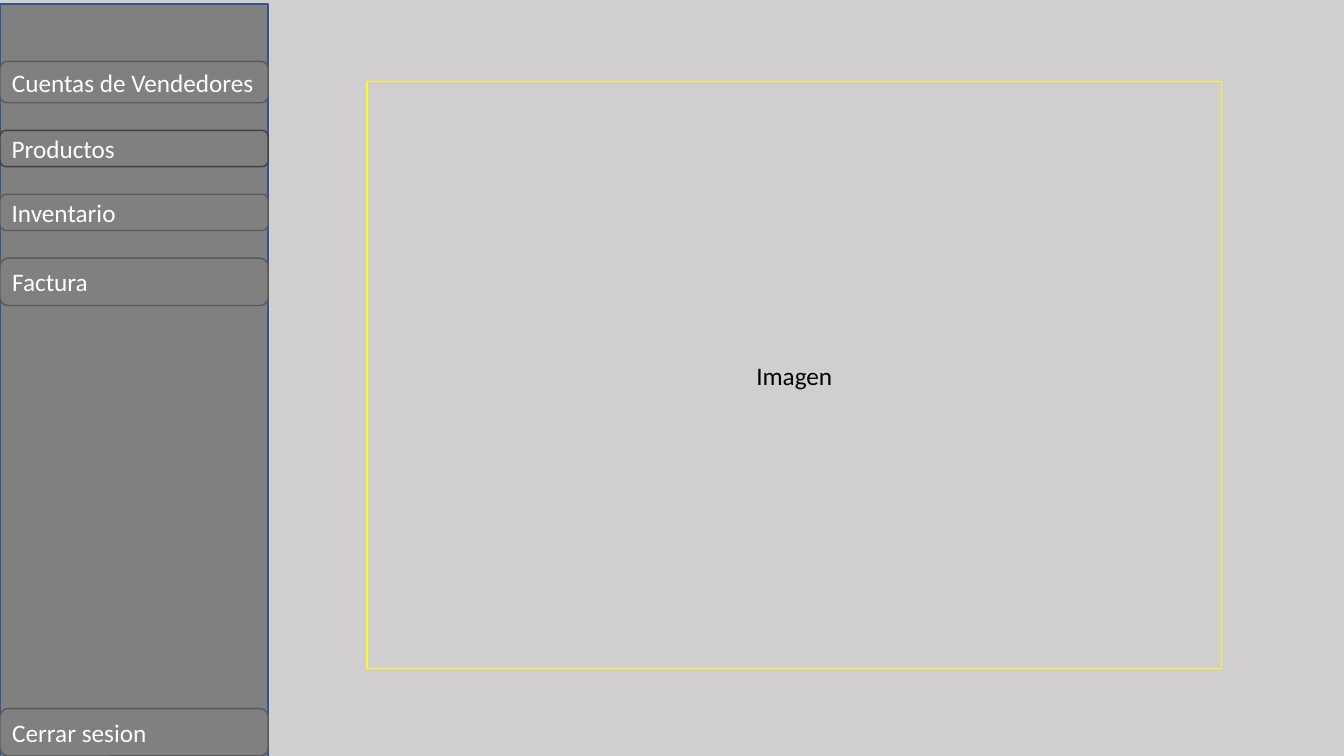
from dataclasses import dataclass

from pptx import Presentation
from pptx.dml.color import RGBColor
from pptx.enum.shapes import MSO_SHAPE
from pptx.enum.text import MSO_ANCHOR, PP_ALIGN
from pptx.slide import Slide
from pptx.util import Inches, Pt

SLIDE_WIDTH, SLIDE_HEIGHT = Inches(13.33), Inches(7.5)
COLUMN, ROW = SLIDE_WIDTH / 100, SLIDE_HEIGHT / 100
MENU_WIDTH, MENU_TOP, MENU_GAP = 19.95, 8.13, 3.65
TALL_BUTTON = 6.27
GRAY, DARK_GRAY, BACKGROUND = "808080", "595959", "D0CECE"


@dataclass(frozen=True)
class Box:
    """A filled rectangle placed in columns and rows of the slide grid."""
    left: float
    top: float
    width: float
    height: float
    fill: str
    outline: str
    text: str = ""
    text_color: str = "FFFFFF"
    alignment: PP_ALIGN = PP_ALIGN.LEFT
    preset: MSO_SHAPE = MSO_SHAPE.RECTANGLE


@dataclass(frozen=True)
class MenuItem:
    """A button of the side menu."""
    text: str
    height: float
    outline: str = DARK_GRAY


def color(value: str) -> RGBColor:
    """Turn a hex string into a colour."""
    return RGBColor.from_string(value)


def draw_box(slide: Slide, box: Box) -> None:
    """Draw a box with its optional label."""
    shape = slide.shapes.add_shape(
        box.preset, round(box.left * COLUMN), round(box.top * ROW),
        round(box.width * COLUMN), round(box.height * ROW))
    shape.shadow.inherit = False
    shape.fill.solid()
    shape.fill.fore_color.rgb = color(box.fill)
    shape.line.color.rgb = color(box.outline)
    shape.line.width = Pt(1)
    if box.text:
        shape.text_frame.vertical_anchor = MSO_ANCHOR.MIDDLE
        paragraph = shape.text_frame.paragraphs[0]
        paragraph.alignment = box.alignment
        run = paragraph.add_run()
        run.text = box.text
        run.font.name = "Calibri"
        run.font.size = Pt(18)
        run.font.color.rgb = color(box.text_color)


def draw_button(slide: Slide, item: MenuItem, top: float) -> None:
    """Draw a rounded menu button at the given row."""
    draw_box(slide, Box(0, top, MENU_WIDTH, item.height, GRAY, item.outline,
                        item.text, preset=MSO_SHAPE.ROUNDED_RECTANGLE))


def draw_menu(slide: Slide, items: list[MenuItem]) -> None:
    """Stack menu buttons with equal gaps."""
    top = MENU_TOP
    for item in items:
        draw_button(slide, item, top)
        top += item.height + MENU_GAP


def main() -> None:
    """Build and save the slide."""
    presentation = Presentation()
    presentation.slide_width = SLIDE_WIDTH
    presentation.slide_height = SLIDE_HEIGHT
    slide = presentation.slides.add_slide(presentation.slide_layouts[6])
    slide.background.fill.solid()
    slide.background.fill.fore_color.rgb = color(BACKGROUND)

    draw_box(slide, Box(0, 0.53, MENU_WIDTH, 100, GRAY, "325491"))
    draw_menu(slide, [
        MenuItem("Cuentas de Vendedores", 5.47),
        MenuItem("Productos", 4.8, "404040"),
        MenuItem("Inventario", 4.8),
        MenuItem("Factura", TALL_BUTTON),
    ])
    draw_box(slide, Box(27.3, 10.8, 63.6, 77.6, BACKGROUND, "FFFF00",
                        "Imagen", "000000", PP_ALIGN.CENTER))
    draw_button(slide, MenuItem("Cerrar sesion", TALL_BUTTON), 100 - TALL_BUTTON)

    presentation.save("out.pptx")


main()
